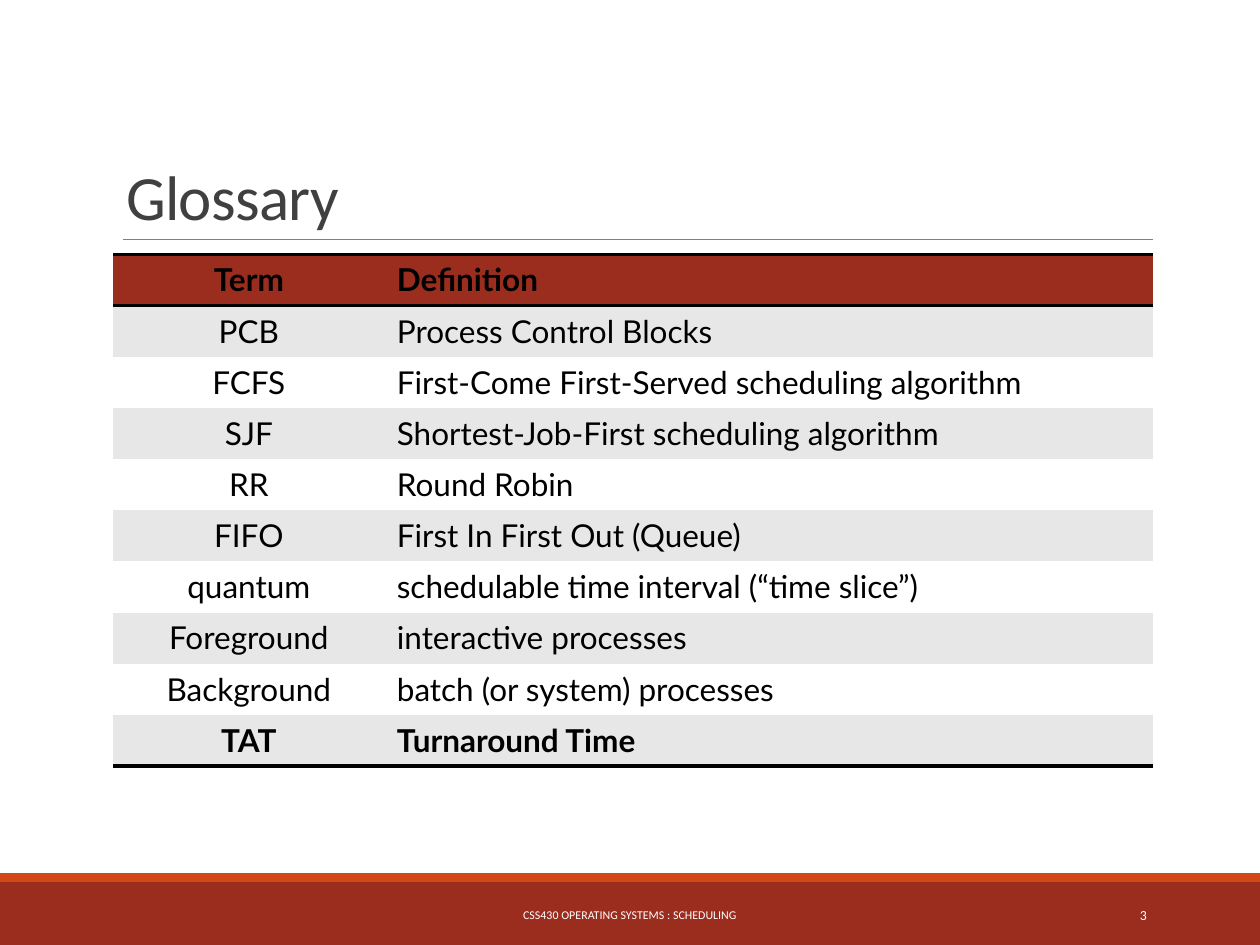
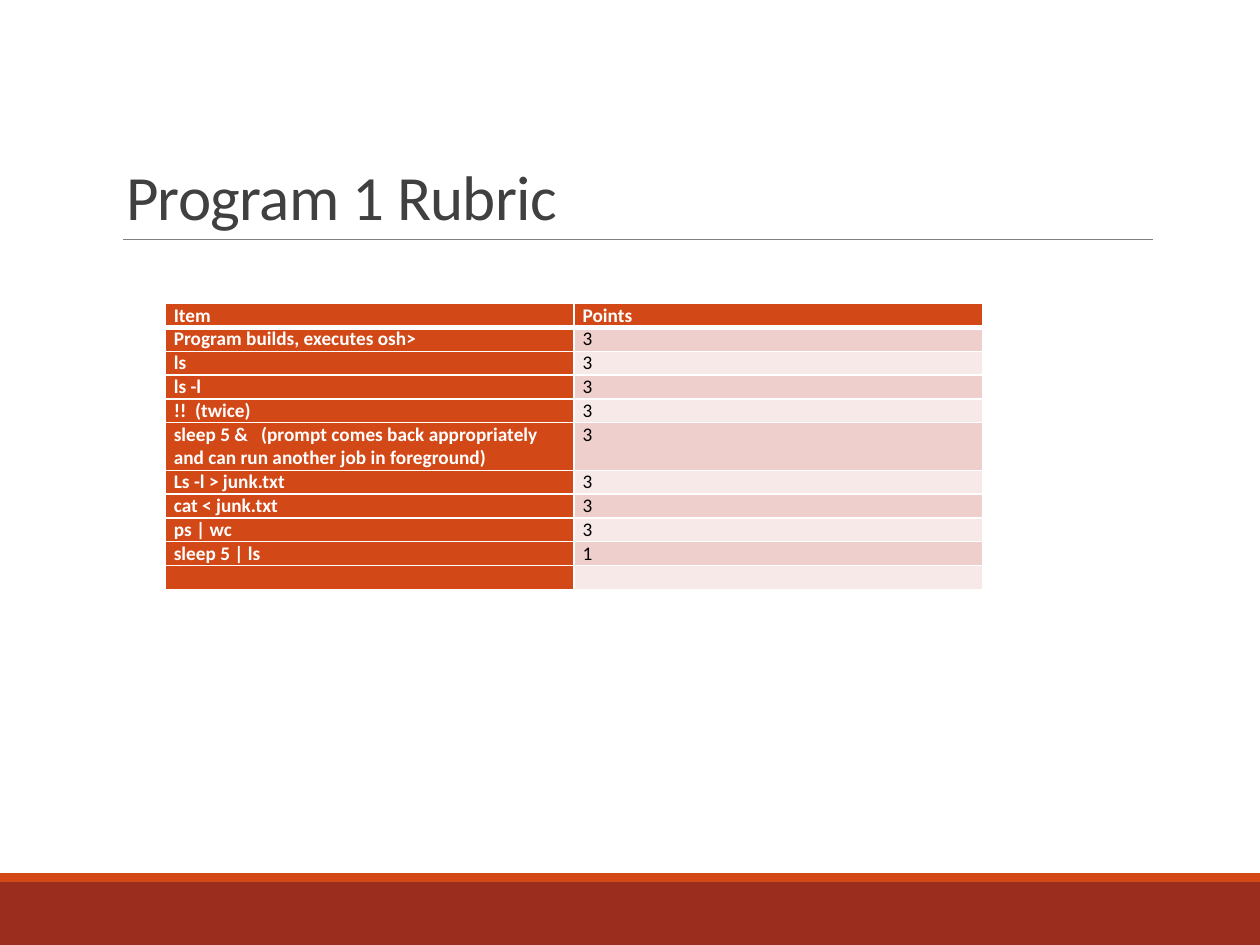
"""Build the glossary and rubric slides of an operating systems lecture."""
from dataclasses import dataclass
from typing import NamedTuple

from lxml import etree
from pptx import Presentation
from pptx.dml.color import RGBColor
from pptx.enum.shapes import MSO_CONNECTOR, MSO_SHAPE
from pptx.enum.text import MSO_ANCHOR, MSO_AUTO_SIZE, PP_ALIGN
from pptx.oxml.ns import qn
from pptx.util import Emu, Inches, Pt

LEFT, CENTER, RIGHT = PP_ALIGN.LEFT, PP_ALIGN.CENTER, PP_ALIGN.RIGHT
BOTTOM, MIDDLE = MSO_ANCHOR.BOTTOM, MSO_ANCHOR.MIDDLE
RECTANGLE, STRAIGHT = MSO_SHAPE.RECTANGLE, MSO_CONNECTOR.STRAIGHT
NO_AUTOFIT = MSO_AUTO_SIZE.NONE

SLIDE_WIDTH, SLIDE_HEIGHT = Inches(10), Inches(7.5)
GRID_COLUMNS, GRID_ROWS = 100, 75
TITLE_ONLY = 5


@dataclass(frozen=True)
class Theme:
    """Colours, fonts and type sizes of the deck."""
    brick: str = "9B2D1F"
    orange: str = "D34817"
    rule: str = "808080"
    heading: str = "404040"
    black: str = "000000"
    white: str = "FFFFFF"
    grey_band: str = "E7E7E7"
    pink_band: str = "EFCFCC"
    pale_band: str = "F7E9E8"
    font: str = "Calibri"
    glossary_font: str = "Lato"
    title_size: float = 36
    glossary_size: float = 18
    rubric_size: float = 11
    footer_size: float = 6.8
    number_size: float = 7.9


THEME = Theme()


class Box(NamedTuple):
    """A place on the slide in grid columns and rows."""
    left: float
    top: float
    width: float
    height: float


class TextStyle(NamedTuple):
    """The look of a run of text and its alignment."""
    font: str
    size: float
    color: str
    bold: bool = False
    align: PP_ALIGN = LEFT


class Band(NamedTuple):
    """A filled strip across the slide."""
    box: Box
    color: str


class Stroke(NamedTuple):
    """A cell border."""
    color: str
    points: float


class CellLook(NamedTuple):
    """The text style and fill of a table cell."""
    style: TextStyle
    fill: str


@dataclass(frozen=True)
class TableDesign:
    """Geometry and borders of a table."""
    left: float
    top: float
    column_widths: tuple[float, ...]
    row_heights: list[float]
    margins: tuple[float, float]
    row_rules: list[Stroke | None]
    column_rule: Stroke | None


TITLE_BOX = Box(9, 3.1, 82.5, 15.9)
TITLE_RULE = Box(9.8, 19, 81.7, 0)
FOOTER_BOX = Box(30.2, 70.6, 39.6, 4)
NUMBER_BOX = Box(81.2, 70.6, 10.8, 4)
BANDS = (Band(Box(0, 70, 100, 5), THEME.brick),
         Band(Box(0, 69.3, 100, 0.7), THEME.orange))

GLOSSARY = (
    ("Term", "Definition"),
    ("PCB", "Process Control Blocks"),
    ("FCFS", "First-Come First-Served scheduling algorithm"),
    ("SJF", "Shortest-Job-First scheduling algorithm"),
    ("RR", "Round Robin"),
    ("FIFO", "First In First Out (Queue)"),
    ("quantum", "schedulable time interval (“time slice”)"),
    ("Foreground", "interactive processes"),
    ("Background", "batch (or system) processes"),
    ("TAT", "Turnaround Time"),
)
RUBRIC = (
    ("Item", "Points"),
    ("Program builds, executes osh>", "3"),
    ("ls", "3"),
    ("ls -l", "3"),
    ("!!  (twice)", "3"),
    ("sleep 5 &   (prompt comes back appropriately and can run another job in foreground)", "3"),
    ("Ls -l > junk.txt", "3"),
    ("cat < junk.txt", "3"),
    ("ps | wc", "3"),
    ("sleep 5 | ls", "1"),
    ("", ""),
)
TWO_LINE_ITEM = 5


def across(columns: float) -> Emu:
    """Convert grid columns to a length."""
    return Emu(round(SLIDE_WIDTH * columns / GRID_COLUMNS))


def down(rows: float) -> Emu:
    """Convert grid rows to a length."""
    return Emu(round(SLIDE_HEIGHT * rows / GRID_ROWS))


def place(box: Box) -> tuple[Emu, Emu, Emu, Emu]:
    """Convert a grid box to left, top, width and height."""
    return across(box.left), down(box.top), across(box.width), down(box.height)


def write(frame, text: str, style: TextStyle) -> None:
    """Set one paragraph of text and format it."""
    frame.text = text
    paragraph = frame.paragraphs[0]
    paragraph.alignment = style.align
    for run in paragraph.runs:
        run.font.name = style.font
        run.font.size = Pt(style.size)
        run.font.bold = style.bold
        run.font.color.rgb = RGBColor.from_string(style.color)
    if not text:
        etree.SubElement(paragraph._p, qn("a:endParaRPr"), sz=str(round(style.size * 100)))


def add_label(slide, box: Box, text: str, style: TextStyle) -> None:
    """Add a vertically centred text box."""
    frame = slide.shapes.add_textbox(*place(box)).text_frame
    frame.word_wrap = True
    frame.vertical_anchor = MIDDLE
    write(frame, text, style)


def add_band(slide, band: Band) -> None:
    """Draw a plain filled strip."""
    strip = slide.shapes.add_shape(RECTANGLE, *place(band.box))
    strip.shadow.inherit = False
    strip.fill.solid()
    strip.fill.fore_color.rgb = RGBColor.from_string(band.color)
    strip.line.fill.background()


def add_title_rule(slide) -> None:
    """Draw the thin line under the title."""
    left, top, width, _ = place(TITLE_RULE)
    rule = slide.shapes.add_connector(STRAIGHT, left, top, left + width, top)
    rule.line.color.rgb = RGBColor.from_string(THEME.rule)
    rule.line.width = Pt(0.5)
    etree.SubElement(rule._element.spPr, qn("a:effectLst"))


def format_title(title, text: str) -> None:
    """Move and format the title placeholder."""
    title.left, title.top, title.width, title.height = place(TITLE_BOX)
    frame = title.text_frame
    frame.word_wrap = True
    frame.auto_size = NO_AUTOFIT
    frame.vertical_anchor = BOTTOM
    write(frame, text, TextStyle(THEME.font, THEME.title_size, THEME.heading))
    frame.paragraphs[0].line_spacing = 0.85
    frame.paragraphs[0].runs[0].font._element.set("spc", "-40")


def add_titled_slide(deck, title: str):
    """Add a slide with the shared bands, title and rule."""
    slide = deck.slides.add_slide(deck.slide_layouts[TITLE_ONLY])
    for band in BANDS:
        add_band(slide, band)
    add_title_rule(slide)
    format_title(slide.shapes.title, title)
    return slide


def set_border(cell, side: str, stroke: Stroke | None) -> None:
    """Set one border of a cell, or clear it."""
    border = etree.SubElement(cell._tc.get_or_add_tcPr(), qn(f"a:ln{side}"))
    if stroke is None:
        border.set("w", "0")
        etree.SubElement(border, qn("a:noFill"))
        return
    border.set("w", str(Pt(stroke.points)))
    fill = etree.SubElement(border, qn("a:solidFill"))
    etree.SubElement(fill, qn("a:srgbClr"), val=stroke.color)


def add_grid(slide, design: TableDesign, content, look_of) -> None:
    """Add a table whose cells look as look_of(row, column) says."""
    box = Box(design.left, design.top, sum(design.column_widths), sum(design.row_heights))
    table = slide.shapes.add_table(len(content), len(design.column_widths), *place(box)).table
    for column, width in zip(table.columns, design.column_widths):
        column.width = across(width)
    for row, height in zip(table.rows, design.row_heights):
        row.height = down(height)
    side_margin, end_margin = design.margins
    for r, texts in enumerate(content):
        for c, text in enumerate(texts):
            cell, look = table.cell(r, c), look_of(r, c)
            cell.margin_left = cell.margin_right = across(side_margin)
            cell.margin_top = cell.margin_bottom = down(end_margin)
            for side, stroke in (("L", design.column_rule), ("R", design.column_rule),
                                 ("T", design.row_rules[r]), ("B", design.row_rules[r + 1])):
                set_border(cell, side, stroke)
            cell.fill.solid()
            cell.fill.fore_color.rgb = RGBColor.from_string(look.fill)
            write(cell.text_frame, text, look.style)


def glossary_look(row: int, column: int) -> CellLook:
    """Style the glossary: brick header, grey bands, bold first and last rows."""
    bold = row in (0, len(GLOSSARY) - 1)
    style = TextStyle(THEME.glossary_font, THEME.glossary_size, THEME.black, bold,
                      LEFT if column else CENTER)
    if row == 0:
        return CellLook(style, THEME.brick)
    return CellLook(style, THEME.grey_band if row % 2 else THEME.white)


def rubric_look(row: int, column: int) -> CellLook:
    """Style the rubric: orange header and items, pink banded points."""
    if row == 0 or column == 0:
        return CellLook(TextStyle(THEME.font, THEME.rubric_size, THEME.white, True), THEME.orange)
    return CellLook(TextStyle(THEME.font, THEME.rubric_size, THEME.black),
                    THEME.pink_band if row % 2 else THEME.pale_band)


def build_glossary(deck) -> None:
    """Build the glossary slide with its footer."""
    slide = add_titled_slide(deck, "Glossary")
    count = len(GLOSSARY)
    heavy = Stroke(THEME.black, 2)
    rules = [heavy if edge in (0, 1, count) else None for edge in range(count + 1)]
    design = TableDesign(9, 20.2, (21.5, 61), [4.06] * count, (1, 0.5), rules, None)
    add_grid(slide, design, GLOSSARY, glossary_look)
    add_label(slide, FOOTER_BOX, "CSS430 OPERATING SYSTEMS : SCHEDULING",
              TextStyle(THEME.font, THEME.footer_size, THEME.white, align=CENTER))
    add_label(slide, NUMBER_BOX, "3",
              TextStyle(THEME.font, THEME.number_size, THEME.white, align=RIGHT))


def build_rubric(deck) -> None:
    """Build the grading rubric slide."""
    slide = add_titled_slide(deck, "Program 1 Rubric")
    count = len(RUBRIC)
    thin = Stroke(THEME.white, 1)
    rules = [Stroke(THEME.white, 3) if edge == 1 else thin for edge in range(count + 1)]
    line = 1.89
    heights = [line * 2 if row == TWO_LINE_ITEM else line for row in range(count)]
    design = TableDesign(13.1, 24.1, (32.45, 32.45), heights, (0.7, 0), rules, thin)
    add_grid(slide, design, RUBRIC, rubric_look)


def main() -> None:
    """Build and save the deck."""
    deck = Presentation()
    deck.slide_width, deck.slide_height = SLIDE_WIDTH, SLIDE_HEIGHT
    build_glossary(deck)
    build_rubric(deck)
    deck.save("out.pptx")


if __name__ == "__main__":
    main()
